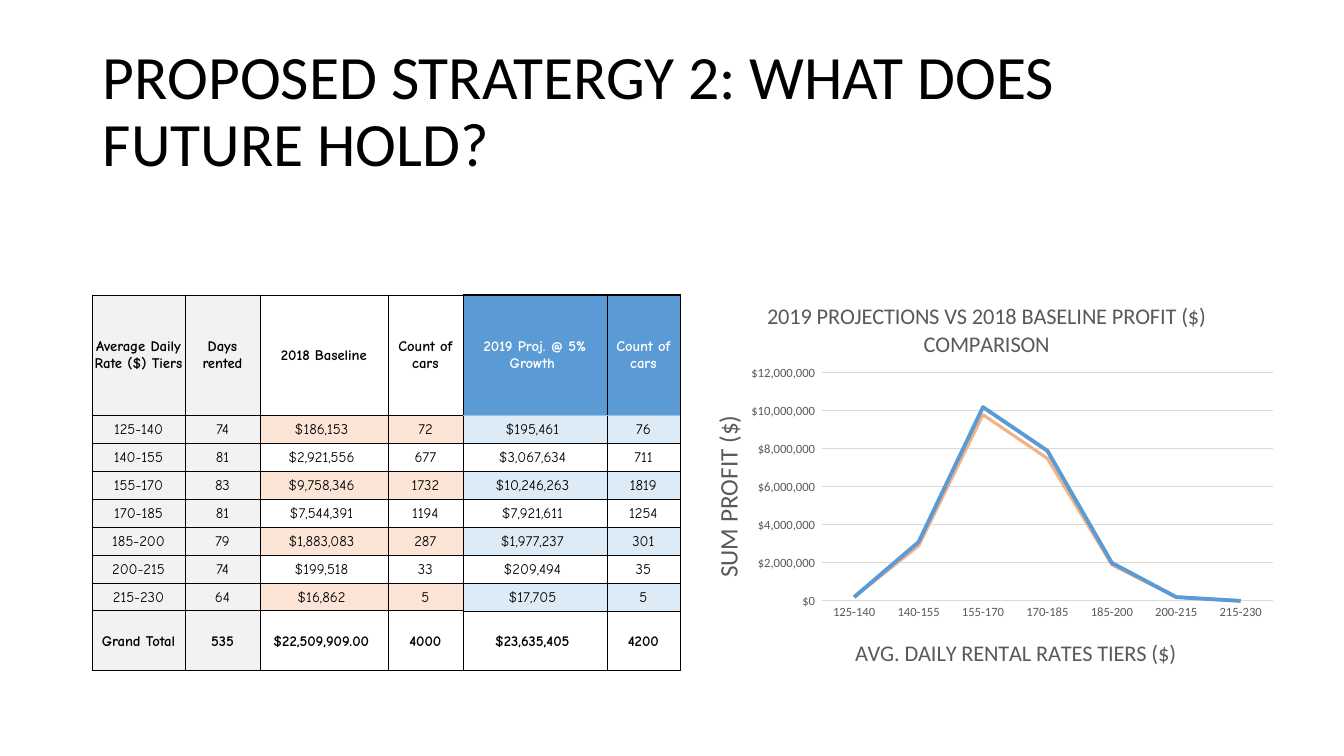
from lxml.etree import SubElement
from pptx import Presentation
from pptx.chart.data import CategoryChartData
from pptx.dml.color import RGBColor
from pptx.enum.chart import XL_CHART_TYPE, XL_TICK_MARK
from pptx.enum.text import MSO_ANCHOR, PP_ALIGN
from pptx.oxml import parse_xml
from pptx.oxml.ns import nsdecls, qn
from pptx.util import Emu, Pt

SCALE = 914400 / 100.8
BLACK, WHITE, GREY, RULE = "000000", "FFFFFF", "595959", "D9D9D9"
BLUE, ORANGE, PALE_BLUE, PALE_ORANGE = "5B9BD5", "F4B183", "DDEBF7", "FCE4D6"
PALE_GREY, BLUE_RULE = "F2F2F2", "9BC2E6"
CHART_BOX = (680, 276, 605, 406)
COLUMN_WIDTHS = (93, 75, 128, 75, 144, 73)
ROW_HEIGHTS = (120, *[28] * 7, 60)
HEADINGS = ("Average Daily Rate ($) Tiers", "Days rented", "2018 Baseline",
            "Count of cars", "2019 Proj. @ 5% Growth ", "Count of cars")
TIERS = (
    ("125-140", 74, 186153, 72, 195461, 76),
    ("140-155", 81, 2921556, 677, 3067634, 711),
    ("155-170", 83, 9758346, 1732, 10246263, 1819),
    ("170-185", 81, 7544391, 1194, 7921611, 1254),
    ("185-200", 79, 1883083, 287, 1977237, 301),
    ("200-215", 74, 199518, 33, 209494, 35),
    ("215-230", 64, 16862, 5, 17705, 5),
)
TOTALS = ("Grand Total", "535", "$22,509,909.00 ", "4000", "$23,635,405 ", "4200")


def px(length):
    """Turn pixels into EMU."""
    return Emu(round(length * SCALE))


def rgb(value):
    """Turn a hex string into a colour."""
    return RGBColor.from_string(value)


def set_font(font, size, color, name="Calibri", bold=False):
    """Format a font."""
    font.size, font.name, font.bold = Pt(size), name, bold
    font.color.rgb = rgb(color)


def write(frame, text, align=None, spacing=None, **font):
    """Put one formatted paragraph into a text frame."""
    para = frame.paragraphs[0]
    para.alignment, para.line_spacing = align, spacing
    span = para.add_run()
    span.text = text
    set_font(span.font, **font)


def add_title(page, text):
    """Add the slide heading."""
    box = page.shapes.add_textbox(px(93), px(40), px(1159), px(146))
    box.text_frame.word_wrap = True
    box.text_frame.vertical_anchor = MSO_ANCHOR.MIDDLE
    write(box.text_frame, text, spacing=0.9, size=44, color=BLACK)


def place(element, left, top, width=None, height=None):
    """Fix a chart part at slide pixels."""
    layout = element.find(qn("c:layout"))
    if layout is None:
        layout = parse_xml(f"<c:layout {nsdecls('c')}/>")
        element.insert(0, layout)
    manual = SubElement(layout, qn("c:manualLayout"))
    if width:
        SubElement(manual, qn("c:layoutTarget")).set("val", "inner")
    for side in "xy":
        SubElement(manual, qn(f"c:{side}Mode")).set("val", "edge")
    chart_left, chart_top, chart_width, chart_height = CHART_BOX
    shares = {"x": (left - chart_left) / chart_width, "y": (top - chart_top) / chart_height}
    if width:
        shares.update(w=width / chart_width, h=height / chart_height)
    for side, share in shares.items():
        SubElement(manual, qn(f"c:{side}")).set("val", f"{share:.4f}")


def label(title, text, size, left, top, turn=0):
    """Write and place a chart or axis title."""
    write(title.text_frame, text, size=size, color=GREY)
    body = title._element.find(".//" + qn("a:bodyPr"))
    body.set("rot", str(turn * 60000))
    body.set("vert", "horz")
    place(title._element, left, top)


def style_line(line, color, width):
    """Set the colour and width of a line."""
    line.color.rgb, line.width = rgb(color), Pt(width)


def add_profit_chart(page):
    """Add the line chart of profit by rate tier."""
    data = CategoryChartData()
    data.categories = [tier[0] for tier in TIERS]
    for name, column in (("Series 1", 2), ("Series 2", 4)):
        data.add_series(name, [round(tier[column], -5) for tier in TIERS])
    frame = page.shapes.add_chart(XL_CHART_TYPE.LINE, *map(px, CHART_BOX), data)
    chart = frame.chart
    chart.has_legend = False
    set_font(chart.font, 10, BLACK)
    chart.has_title = True
    label(chart.chart_title, "2019 PROJECTIONS VS 2018 BASELINE PROFIT ($) COMPARISON",
          16, 763, 297)
    place(chart._chartSpace.chart.plotArea, 822, 373, 451, 228)
    rates, profit = chart.category_axis, chart.value_axis
    for axis in (rates, profit):
        axis.major_tick_mark = axis.minor_tick_mark = XL_TICK_MARK.NONE
        set_font(axis.tick_labels.font, 9, GREY)
    label(rates.axis_title, "AVG. DAILY RENTAL RATES TIERS ($)", 16, 851, 634)
    label(profit.axis_title, "SUM PROFIT ($)", 18, 706, 411, turn=-90)
    style_line(rates.format.line, RULE, 0.75)
    profit.format.line.fill.background()
    style_line(profit.major_gridlines.format.line, RULE, 0.75)
    profit.minimum_scale, profit.maximum_scale, profit.major_unit = 0, 12000000, 2000000
    profit.tick_labels.number_format = '"$"#,##0_);[Red]\\("$"#,##0\\)'
    profit.tick_labels.number_format_is_linked = False
    plot = chart.plots[0]
    plot.vary_by_categories = False
    for series, color, width in zip(plot.series, (ORANGE, BLUE), (2.25, 2.75)):
        series.smooth = False
        style_line(series.format.line, color, width)


def set_border(cell, side, color=BLACK, width=0.5):
    """Draw one border of a cell."""
    cell._tc.get_or_add_tcPr().append(parse_xml(
        f'<a:ln{side} {nsdecls("a")} w="{Pt(width)}"><a:solidFill>'
        f'<a:srgbClr val="{color}"/></a:solidFill></a:ln{side}>'))


def cell_fill(row, column):
    """Return the fill of a table cell, or None."""
    if column < 2:
        return PALE_GREY
    if row == 0:
        return BLUE if column > 3 else None
    if row % 2 and row <= len(TIERS):
        return PALE_BLUE if column > 3 else PALE_ORANGE
    return None


def cell_borders(row, column):
    """Return the borders of a cell that differ from the thin black one."""
    last, projected = len(TIERS), column > 3
    if projected:
        return {0: {"T": (BLACK, 1), "B": (BLUE_RULE, 0.5)},
                1: {"T": (BLUE_RULE, 0.5)}}.get(row, {})
    return {last: {"B": (BLACK, 1)}, last + 1: {"T": (BLACK, 1)}}.get(row, {})


def format_cell(cell, text, row, column):
    """Fill in one table cell."""
    cell.margin_left = cell.margin_right = cell.margin_top = px(1)
    cell.margin_bottom = 0
    cell.vertical_anchor = MSO_ANCHOR.MIDDLE
    special = cell_borders(row, column)
    for side in "LRTB":
        set_border(cell, side, *special.get(side, ()))
    fill = cell_fill(row, column)
    if fill:
        cell.fill.solid()
        cell.fill.fore_color.rgb = rgb(fill)
    else:
        cell.fill.background()
    write(cell.text_frame, text, align=PP_ALIGN.CENTER, size=10.5, name="Comic Neue",
          color=WHITE if fill == BLUE else BLACK, bold=row in (0, len(TIERS) + 1))


def add_rate_table(page):
    """Add the table of rate tiers."""
    body = [[f"${value:,} " if column in (2, 4) else str(value)
             for column, value in enumerate(tier)] for tier in TIERS]
    rows = [HEADINGS, *body, TOTALS]
    frame = page.shapes.add_table(len(rows), len(HEADINGS), px(92), px(295),
                                  px(sum(COLUMN_WIDTHS)), px(sum(ROW_HEIGHTS)))
    table = frame.table
    table.first_row = table.horz_banding = False
    for column, width in zip(table.columns, COLUMN_WIDTHS):
        column.width = px(width)
    for row, height in zip(table.rows, ROW_HEIGHTS):
        row.height = px(height)
    for row, texts in enumerate(rows):
        for column, text in enumerate(texts):
            format_cell(table.cell(row, column), text, row, column)


def main():
    """Build and save the slide."""
    deck = Presentation()
    deck.slide_width, deck.slide_height = px(1344), px(756)
    page = deck.slides.add_slide(deck.slide_layouts[6])
    add_title(page, "PROPOSED STRATERGY 2: WHAT DOES FUTURE HOLD?")
    add_profit_chart(page)
    add_rate_table(page)
    deck.save("out.pptx")


main()
